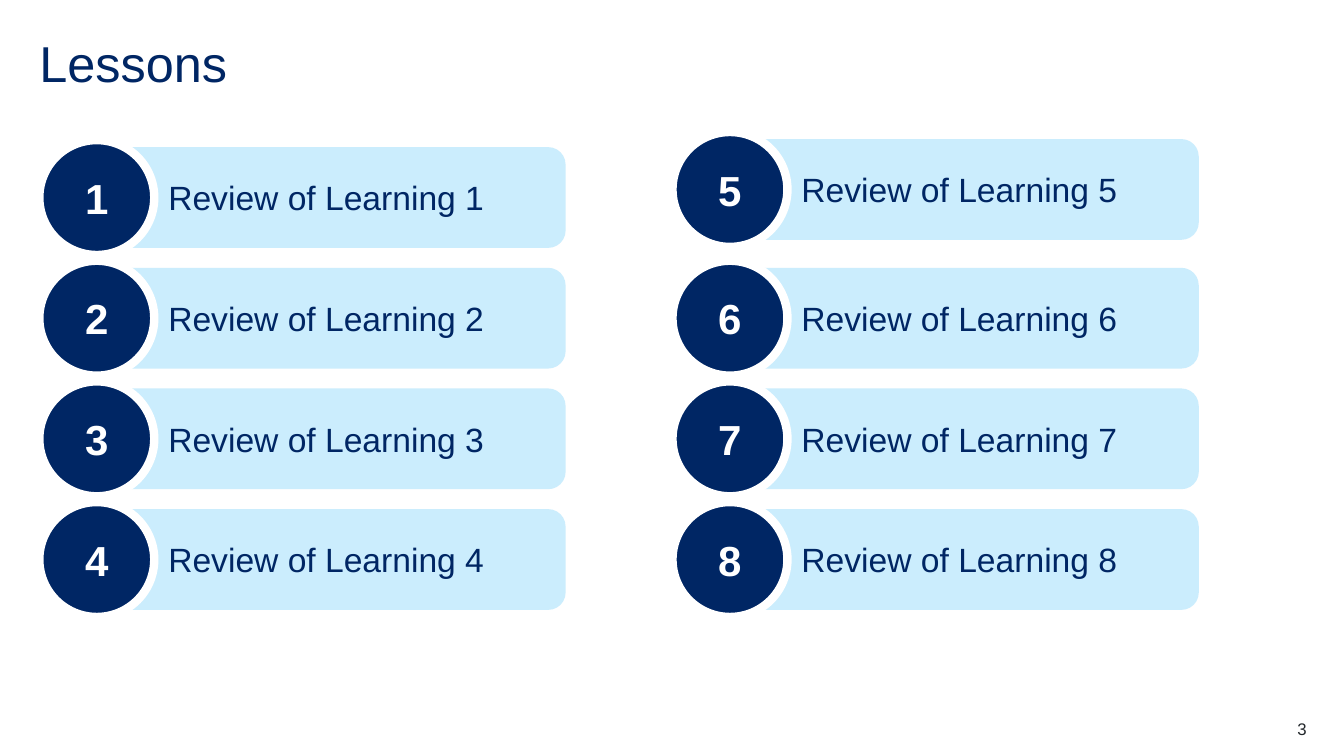
from pptx import Presentation
from pptx.dml.color import RGBColor
from pptx.enum.shapes import MSO_SHAPE as Shape
from pptx.enum.text import MSO_ANCHOR as Anchor, PP_ALIGN as Align
from pptx.util import Inches, Pt

NAVY = "002664"
PALE_BLUE = "CBEDFD"
WHITE = "FFFFFF"
DARK_GREY = "22272B"


def color(value):
    return RGBColor.from_string(value)


def write(shape, text, size, text_color, align=Align.LEFT, bold=False):
    shape.text_frame.word_wrap = True
    paragraph = shape.text_frame.paragraphs[0]
    paragraph.alignment = align
    run = paragraph.add_run()
    run.text = text
    run.font.name = "Arial"
    run.font.size = Pt(size)
    run.font.bold = bold
    run.font.color.rgb = color(text_color)
    return paragraph


presentation = Presentation()
presentation.slide_width = Inches(13.33)
presentation.slide_height = Inches(7.5)
slide = presentation.slides.add_slide(presentation.slide_layouts[6])

title = slide.shapes.add_textbox(Inches(0.39), Inches(0.39), Inches(12.56), Inches(0.6))
write(title, "Lessons", 36, NAVY).line_spacing = 0.9

column_lefts = [0.39, 6.67]
rows_per_column = 4
first_top = 1.39
row_step = 1.197

for index in range(8):
    column, row = divmod(index, rows_per_column)
    left = column_lefts[column]
    top = first_top + row * row_step
    if index == 4:
        top = 1.31
    lesson = slide.shapes.add_group_shape()

    bar = lesson.shapes.add_shape(
        Shape.ROUNDED_RECTANGLE,
        Inches(left + 0.74), Inches(top + 0.07), Inches(4.48), Inches(1))
    bar.adjustments[0] = 0.173
    bar.shadow.inherit = False
    bar.fill.solid()
    bar.fill.fore_color.rgb = color(PALE_BLUE)
    bar.line.fill.background()
    bar.text_frame.vertical_anchor = Anchor.MIDDLE
    paragraph = write(bar, f"Review of Learning {index + 1}", 24, NAVY)
    paragraph._p.get_or_add_pPr().set("marL", str(Inches(0.39)))

    circle = lesson.shapes.add_shape(
        Shape.OVAL, Inches(left), Inches(top), Inches(1.14), Inches(1.14))
    circle.shadow.inherit = False
    circle.fill.solid()
    circle.fill.fore_color.rgb = color(NAVY)
    circle.line.color.rgb = color(WHITE)
    circle.line.width = Pt(6)
    circle.text_frame.vertical_anchor = Anchor.MIDDLE
    write(circle, str(index + 1), 30, WHITE, Align.CENTER, True)

page_number = slide.shapes.add_textbox(
    Inches(12.17), Inches(7.13), Inches(0.79), Inches(0.2))
write(page_number, "3", 12, DARK_GREY, Align.RIGHT)

for box in (title, page_number):
    frame = box.text_frame
    frame.margin_left = frame.margin_right = 0
    frame.margin_top = frame.margin_bottom = 0

presentation.save("out.pptx")
